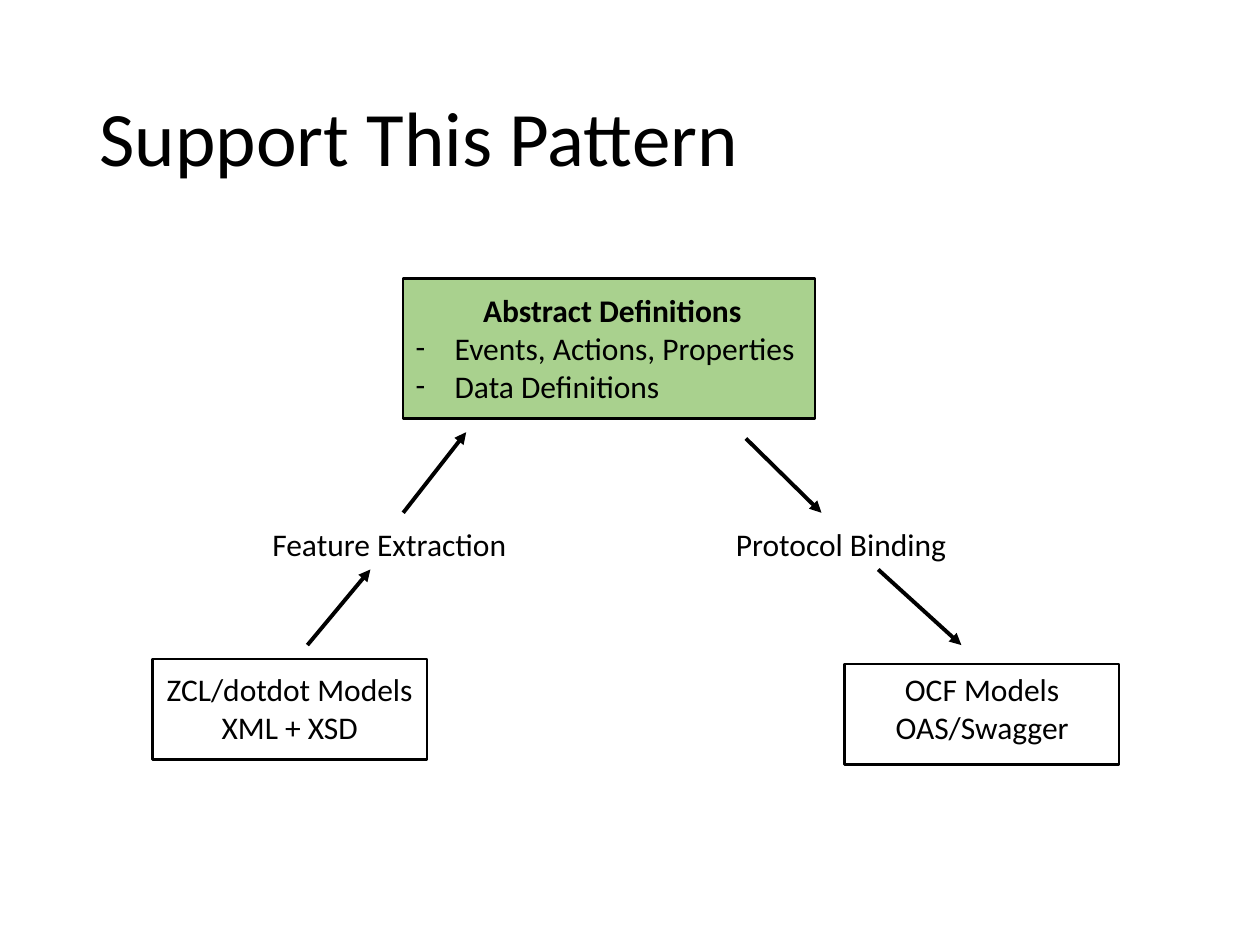
from lxml import etree
from pptx import Presentation
from pptx.dml.color import RGBColor
from pptx.enum.shapes import MSO_CONNECTOR, MSO_SHAPE
from pptx.enum.text import MSO_ANCHOR, MSO_AUTO_SIZE, PP_ALIGN
from pptx.oxml.ns import qn
from pptx.util import Inches, Pt

BLACK = RGBColor(0x00, 0x00, 0x00)
GREEN = RGBColor(0xA9, 0xD1, 0x8E)
FONT = "Calibri"

TITLE = "Support This Pattern"
TITLE_AREA = (0.69, 0.4, 8.62, 1.45)

# left, top, width, height, fill
BOXES = [
    (3.2, 2.21, 3.27, 1.11, GREEN),
    (1.21, 5.23, 2.18, 0.8, None),
    (6.7, 5.27, 2.18, 0.8, None),
]

DEFINITIONS_AREA = (3.2, 2.26, 3.32, 1.01)
DEFINITIONS_HEADING = "Abstract Definitions"
DEFINITIONS = ["Events, Actions, Properties", "Data Definitions"]

LABELS = [
    ((2.05, 4.12, 2.08, 0.4), ["Feature Extraction"]),
    ((5.73, 4.12, 1.89, 0.4), ["Protocol Binding"]),
    ((1.21, 5.27, 2.18, 0.71), ["ZCL/dotdot Models", "XML + XSD"]),
    ((6.97, 5.27, 1.65, 0.71), ["OCF Models", "OAS/Swagger"]),
]

ARROWS = [
    ((2.44, 5.12), (2.94, 4.52)),
    ((3.2, 4.07), (3.7, 3.43)),
    ((5.92, 3.48), (6.52, 4.07)),
    ((6.97, 4.52), (7.63, 5.12)),
]


def inches(values):
    return [Inches(value) for value in values]


def write(frame, lines, size=18, bold=False, align=PP_ALIGN.CENTER, bullet=None,
          append=False):
    for index, line in enumerate(lines):
        new = append or index > 0
        paragraph = frame.add_paragraph() if new else frame.paragraphs[0]
        paragraph.alignment = align
        if bullet:
            properties = paragraph._p.get_or_add_pPr()
            properties.set("marL", str(Inches(0.31)))
            properties.set("indent", str(-Inches(0.31)))
            etree.SubElement(properties, qn("a:buFont"), typeface=FONT)
            etree.SubElement(properties, qn("a:buChar"), char=bullet)
        run = paragraph.add_run()
        run.text = line
        run.font.name = FONT
        run.font.size = Pt(size)
        run.font.bold = bold
        run.font.color.rgb = BLACK


def add_text_frame(slide, area, wrap):
    frame = slide.shapes.add_textbox(*inches(area)).text_frame
    frame.word_wrap = wrap
    frame.auto_size = MSO_AUTO_SIZE.SHAPE_TO_FIT_TEXT
    return frame


def add_box(slide, area, fill):
    box = slide.shapes.add_shape(MSO_SHAPE.RECTANGLE, *inches(area))
    box.shadow.inherit = False
    if fill is None:
        box.fill.background()
    else:
        box.fill.solid()
        box.fill.fore_color.rgb = fill
    box.line.color.rgb = BLACK
    box.line.width = Pt(1.5)


def add_arrow(slide, start, end):
    arrow = slide.shapes.add_connector(MSO_CONNECTOR.STRAIGHT, *inches(start + end))
    arrow.line.color.rgb = BLACK
    arrow.line.width = Pt(2.25)
    etree.SubElement(arrow.line._get_or_add_ln(), qn("a:tailEnd"), type="triangle")
    etree.SubElement(arrow._element.spPr, qn("a:effectLst"))


def main():
    presentation = Presentation()
    presentation.slide_width, presentation.slide_height = Inches(10), Inches(7.5)
    slide = presentation.slides.add_slide(presentation.slide_layouts[5])

    title = slide.shapes.title
    title.left, title.top, title.width, title.height = inches(TITLE_AREA)
    title.text_frame.vertical_anchor = MSO_ANCHOR.MIDDLE
    write(title.text_frame, [TITLE], size=44, align=PP_ALIGN.LEFT)
    title.text_frame.paragraphs[0].line_spacing = 0.9

    for *area, fill in BOXES:
        add_box(slide, area, fill)

    definitions = add_text_frame(slide, DEFINITIONS_AREA, wrap=True)
    write(definitions, [DEFINITIONS_HEADING], bold=True)
    write(definitions, DEFINITIONS, align=PP_ALIGN.LEFT, bullet="-", append=True)

    for area, lines in LABELS:
        write(add_text_frame(slide, area, wrap=False), lines)

    for start, end in ARROWS:
        add_arrow(slide, start, end)

    presentation.save("out.pptx")


if __name__ == "__main__":
    main()
